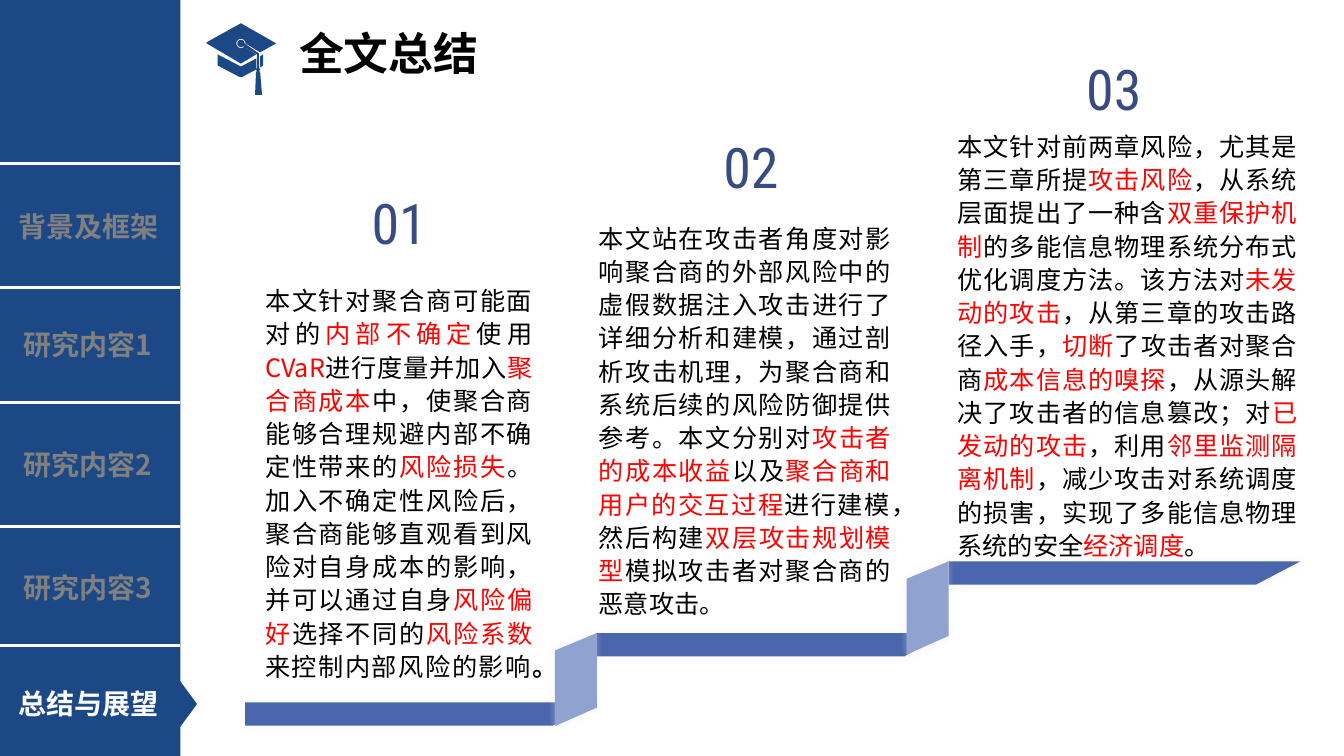
import math

import pptx
import pptx.dml.color
import pptx.enum.shapes
import pptx.enum.text
import pptx.oxml
import pptx.oxml.ns
import pptx.util
from lxml import etree

Pt = pptx.util.Pt
ALIGN = pptx.enum.text.PP_ALIGN
ANCHOR = pptx.enum.text.MSO_ANCHOR
SHAPE = pptx.enum.shapes.MSO_SHAPE
CJK = "Noto Sans CJK SC"
COLORS = {
    "navy": "1C4885", "white": "FFFFFF", "black": "000000", "red": "FF0000",
    "grey": "808080", "number": "384C81", "ledge": "4A66AC",
    "riser": "90A2CF", "shadow": "ECECEC",
}
SIDEBAR_WIDTH = 128.9
LEDGE_WIDTH = 251.3
DIVIDERS = [116.6, 205.2, 287.3, 375.8, 460.8]
NAVIGATION = [
    ("背景及框架", (3.6, 146.2, 119.5, 31.7), "grey", ALIGN.CENTER),
    ("研究内容1", (9.4, 230.4, 110.2, 31.7), "grey", ALIGN.LEFT),
    ("研究内容2", (9.4, 316.1, 110.2, 31.7), "grey", ALIGN.LEFT),
    ("研究内容3", (9.4, 403.9, 110.2, 31.7), "grey", ALIGN.LEFT),
    ("总结与展望", (-5.8, 486.7, 138.2, 31.7), "white", ALIGN.CENTER),
]
STEPS = [
    {
        "number": "01", "number_box": (218.9, 140.4, 132.5, 33.1),
        "ledge_top": 501.8, "body_box": (189.4, 205.2, 190.8, 281.5),
        "body": "本文针对聚合商可能面对的|内部不确定|使用|CVaR|进行度量并加入|聚合商成本|"
                "中，使聚合商能够合理规避内部不确定性带来的|风险损失|"
                "。加入不确定性风险后，聚合商能够直观看到风险对自身成本的影响，并可以通过自身|"
                "风险偏好|选择不同的|风险系数|来控制内部风险的影响",
        "bold_end": "。",
    },
    {
        "number": "02", "number_box": (470.2, 100.1, 132.5, 33.8),
        "ledge_top": 452.2, "body_box": (427.7, 146.2, 208.8, 295.9),
        "body": "本文站在攻击者角度对影响聚合商的外部风险中的虚假数据注入攻击进行了详细分析和建模，"
                "通过剖析攻击机理，为聚合商和系统后续的风险防御提供参考。本文分别对|"
                "攻击者的成本收益|以及|聚合商和用户的交互过程|进行建模，然后构建|"
                "双层攻击规划模型|模拟攻击者对聚合商的恶意攻击。",
        "bold_end": "",
    },
    {
        "number": "03", "number_box": (729.4, 44.6, 132.5, 33.1),
        "ledge_top": 401.0, "body_box": (684, 87.8, 242.6, 312.5),
        "body": "本文针对前两章风险，尤其是第三章所提|攻击风险|，从系统层面提出了一种含|"
                "双重保护机制|的多能信息物理系统分布式优化调度方法。该方法对|未发动的攻击|"
                "，从第三章的攻击路径入手，|切断|了攻击者对聚合商|成本信息的嗅探|"
                "，从源头解决了攻击者的信息篡改；对|已发动的攻击|，利用|邻里监测隔离机制|"
                "，减少攻击对系统调度的损害，实现了多能信息物理系统的安全|经济调度|。",
        "bold_end": "",
    },
]


def rgb(name):
    return pptx.dml.color.RGBColor.from_string(COLORS[name])


def add_run(paragraph, text, size, color, bold, font):
    run = paragraph.add_run()
    run.text = text
    run.font.size = Pt(size)
    run.font.bold = bold
    run.font.color.rgb = rgb(color)
    run.font.name = font
    east_asian = etree.SubElement(run.font._element, pptx.oxml.ns.qn("a:ea"))
    east_asian.set("typeface", font)


def add_text(slide, box, text, size=18, color="black", accent="red", bold=False,
             font=CJK, align=ALIGN.LEFT, anchor=ANCHOR.TOP, spacing=1.0,
             insets=(7.2, 3.6, 7.2, 3.6), bold_end=""):
    shape = slide.shapes.add_textbox(*map(Pt, box))
    frame = shape.text_frame
    frame.word_wrap = True
    frame.vertical_anchor = anchor
    (frame.margin_left, frame.margin_top,
     frame.margin_right, frame.margin_bottom) = map(Pt, insets)
    paragraph = frame.paragraphs[0]
    paragraph.alignment = align
    paragraph.line_spacing = spacing
    for index, part in enumerate(text.split("|")):
        add_run(paragraph, part, size, accent if index % 2 else color, bold, font)
    if bold_end:
        add_run(paragraph, bold_end, size, color, True, font)


def paint(shape, color):
    shape.shadow.inherit = False
    shape.fill.solid()
    shape.fill.fore_color.rgb = rgb(color)
    shape.line.fill.background()


def add_outline(slide, contours, color):
    start, *rest = [[tuple(map(Pt, point)) for point in contour] for contour in contours]
    builder = slide.shapes.build_freeform(*start[0], scale=1.0)
    builder.add_line_segments(start[1:], close=True)
    for contour in rest:
        builder.move_to(*contour[0])
        builder.add_line_segments(contour[1:], close=True)
    shape = builder.convert_to_shape()
    paint(shape, color)
    return shape


def add_glow(shape):
    effects = shape._element.spPr.find(pptx.oxml.ns.qn("a:effectLst"))
    effects.append(pptx.oxml.parse_xml(
        f'<a:outerShdw {pptx.oxml.ns.nsdecls("a")} blurRad="{Pt(5)}" dist="0" dir="0">'
        f'<a:srgbClr val="{COLORS["shadow"]}"><a:alpha val="40000"/></a:srgbClr>'
        '</a:outerShdw>'))


def add_divider(slide, top):
    line = slide.shapes.add_connector(
        pptx.enum.shapes.MSO_CONNECTOR.STRAIGHT, 0, Pt(top), Pt(SIDEBAR_WIDTH), Pt(top))
    line.line.color.rgb = rgb("white")
    line.line.width = Pt(2.25)
    etree.SubElement(line._element.spPr, pptx.oxml.ns.qn("a:effectLst"))


def button_arc(radius, start, stop):
    angles = [math.radians(start + (stop - start) * index / 16) for index in range(17)]
    return [(172.1 + radius * math.cos(angle), 31 + radius * math.sin(angle))
            for angle in angles]


def add_cap(slide):
    right_band = [(185.8, 48.2), (187.9, 46.8), (187.9, 38.9), (185.8, 40.3)]
    band = [(155.5, 38.9), (155.5, 46.8), (170.6, 54.7), (172.1, 55.1),
            (173.5, 54.7), (182.9, 49.7), (182.9, 41.8), (172.1, 47.5)]
    cord = [(185, 38.2), *button_arc(2.6, 0, -310), (183.6, 38.9)]
    board = [(197.3, 31), (172.1, 16.6), (147.6, 30.2), (147.6, 31), (172.1, 45.4),
             (182.9, 38.9), *button_arc(3.3, 50, 360), (185.8, 37.4)]
    tassel = [(185, 38.2), (185, 48.2), (185.8, 49.7), (185, 51.1), (185.8, 51.1),
              (187.2, 67.7), (182.2, 67.7), (182.9, 51.1), (183.6, 51.1),
              (182.9, 49.7), (183.6, 48.2), (183.6, 38.9)]
    add_outline(slide, [right_band, band, cord, board, tassel], "navy")


def add_sidebar(slide):
    panel = slide.shapes.add_shape(SHAPE.RECTANGLE, 0, 0, Pt(SIDEBAR_WIDTH), Pt(540))
    paint(panel, "navy")
    for top in DIVIDERS:
        add_divider(slide, top)
    pointer = slide.shapes.add_shape(
        SHAPE.ISOSCELES_TRIANGLE, Pt(118.1), Pt(496.8), Pt(33.1), Pt(12.2))
    pointer.rotation = 90
    paint(pointer, "navy")
    for text, box, color, align in NAVIGATION:
        add_text(slide, box, text, size=20, color=color, bold=True, align=align)


def add_step(slide, index, step):
    left, top = 175 + LEDGE_WIDTH * index, step["ledge_top"]
    ledge = [(left, top), (left + LEDGE_WIDTH, top),
             (left + 219.6, top + 16.6), (left, top + 16.6)]
    add_glow(add_outline(slide, [ledge], "ledge"))
    if index:
        riser = [(left - 30, top + 66.5), (left, top + 53.3),
                 (left, top), (left - 30, top + 12.5)]
        add_glow(add_outline(slide, [riser], "riser"))
    add_text(slide, step["number_box"], step["number"], size=40, color="number",
             font="Roboto Condensed", align=ALIGN.CENTER, anchor=ANCHOR.MIDDLE,
             insets=(0, 3.6, 0, 0))
    add_text(slide, step["body_box"], step["body"], align=ALIGN.JUSTIFY,
             anchor=ANCHOR.BOTTOM, spacing=1.1, insets=(0, 0, 0, 0),
             bold_end=step["bold_end"])


def main():
    presentation = pptx.Presentation()
    presentation.slide_width = Pt(960)
    presentation.slide_height = Pt(540)
    slide = presentation.slides.add_slide(presentation.slide_layouts[6])
    add_cap(slide)
    add_sidebar(slide)
    add_text(slide, (206.6, 19.4, 598.3, 54), "全文总结", size=32, bold=True, spacing=0.9)
    for index, step in enumerate(STEPS):
        add_step(slide, index, step)
    presentation.save("out.pptx")


if __name__ == "__main__":
    main()
